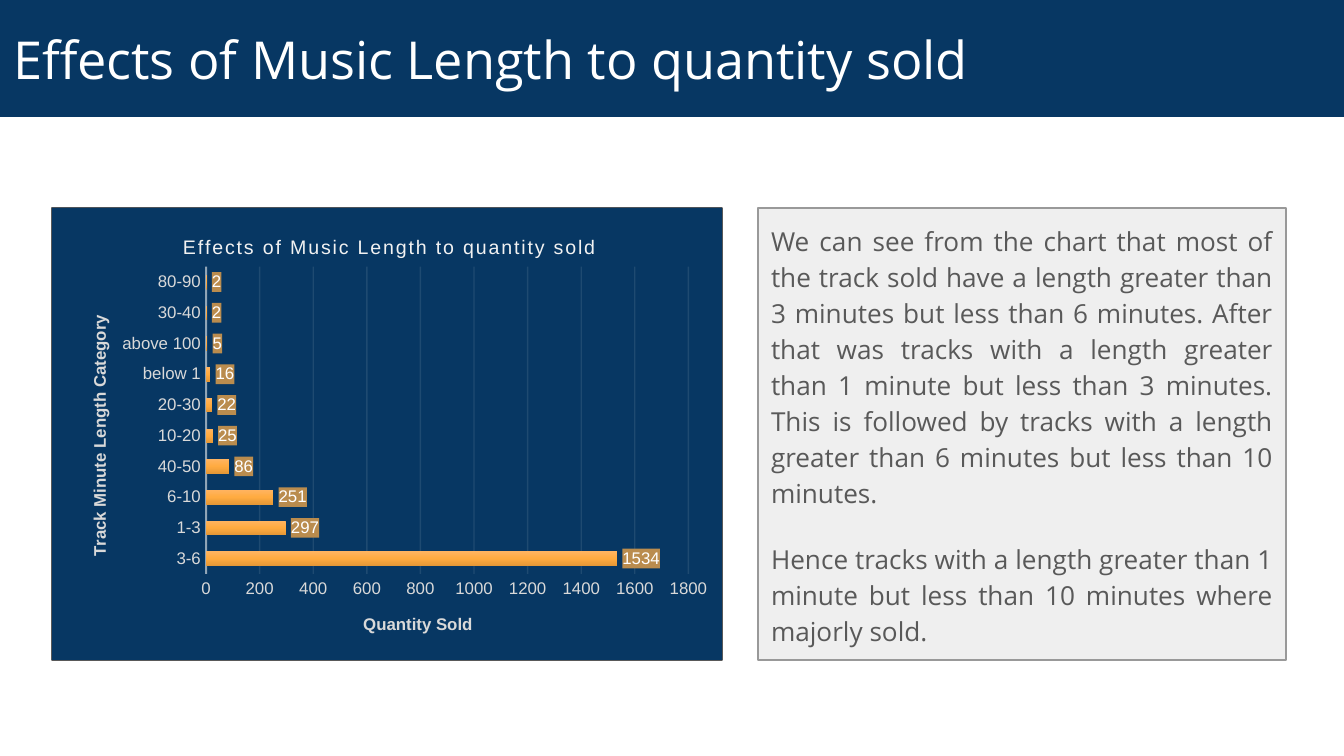
from dataclasses import dataclass

from lxml import etree
from pptx import Presentation
from pptx.chart.data import CategoryChartData
from pptx.dml.color import RGBColor
from pptx.enum.chart import XL_CHART_TYPE as ChartType
from pptx.enum.chart import XL_LABEL_POSITION as LabelPosition
from pptx.enum.chart import XL_TICK_MARK as TickMark
from pptx.enum.shapes import MSO_SHAPE as Preset
from pptx.enum.text import MSO_ANCHOR as Anchor
from pptx.enum.text import MSO_AUTO_SIZE as AutoSize
from pptx.enum.text import PP_ALIGN as Align
from pptx.oxml import parse_xml
from pptx.oxml.ns import nsdecls, qn
from pptx.util import Emu, Pt


@dataclass(frozen=True)
class Theme:
    text_font: str = "Open Sans"
    chart_font: str = "Arial"
    navy: str = "073763"
    white: str = "FFFFFF"
    body: str = "595959"
    note_fill: str = "EFEFEF"
    note_line: str = "999999"
    panel_fill: str = "EEEEEE"
    light: str = "F2F2F2"
    axis: str = "D9D9D9"
    label_fill: str = "BA8C4E"
    bar_stops: tuple = ((0, "FFB461"), (50, "FFAB40"), (100, "E59837"))
    title_size: float = 28
    body_size: float = 14
    chart_title_size: float = 10.5
    axis_size: float = 9


THEME = Theme()
SLIDE_WIDTH, SLIDE_HEIGHT = 1344, 756
HEADING = "Effects of Music Length to quantity sold"
QUANTITY_SOLD = {
    "3-6": 1534, "1-3": 297, "6-10": 251, "40-50": 86, "10-20": 25,
    "20-30": 22, "below 1": 16, "above 100": 5, "30-40": 2, "80-90": 2,
}
FINDINGS = (
    "We can see from the chart that most of the track sold have a length greater "
    "than 3 minutes but less than 6 minutes. After that was tracks with a length "
    "greater than 1 minute but less than 3 minutes. This is followed by tracks "
    "with a length greater than 6 minutes but less than 10 minutes.",
    "Hence tracks with a length greater than 1 minute but less than 10 minutes "
    "where majorly sold.",
)


def px(length):
    return Emu(round(length * 914400 / 134.4))


def rgb(color):
    return RGBColor.from_string(color)


def style_font(font, name, size, color, bold=False):
    font.name, font.size, font.bold = name, Pt(size), bold
    font.color.rgb = rgb(color)


def style_box(shape, fill, line=None):
    shape.fill.solid()
    shape.fill.fore_color.rgb = rgb(fill)
    if line:
        shape.line.color.rgb = rgb(line)
        shape.line.width = Pt(0.75)
    else:
        shape.line.fill.background()


def set_insets(frame):
    frame.margin_left = frame.margin_right = px(13)
    frame.margin_top = frame.margin_bottom = px(13)
    frame.word_wrap = True
    frame.auto_size = AutoSize.NONE


def add_box(slide, box, fill, line):
    shape = slide.shapes.add_shape(Preset.RECTANGLE, *map(px, box))
    shape.shadow.inherit = False
    style_box(shape, fill, line)
    return shape


def add_heading(slide, box):
    heading = slide.shapes.title
    heading.left, heading.top, heading.width, heading.height = map(px, box)
    style_box(heading, THEME.navy)
    frame = heading.text_frame
    set_insets(frame)
    frame.vertical_anchor = Anchor.MIDDLE
    paragraph = frame.paragraphs[0]
    paragraph.alignment = Align.LEFT
    run = paragraph.add_run()
    run.text = HEADING
    style_font(run.font, THEME.text_font, THEME.title_size, THEME.white)


def add_findings(slide, box):
    frame = add_box(slide, box, THEME.note_fill, THEME.note_line).text_frame
    set_insets(frame)
    frame.vertical_anchor = Anchor.TOP
    for index, finding in enumerate(FINDINGS):
        paragraph = frame.add_paragraph() if index else frame.paragraphs[0]
        paragraph.alignment = Align.JUSTIFY
        paragraph.line_spacing = 1.15
        paragraph.space_after = Pt(16)
        run = paragraph.add_run()
        run.text = finding
        style_font(run.font, THEME.text_font, THEME.body_size, THEME.body)


def place(element, index, **fractions):
    """Give a chart part a manual layout, in fractions of the chart's size."""
    layout = element.find(qn("c:layout"))
    if layout is None:
        layout = etree.Element(qn("c:layout"))
        element.insert(index, layout)
    manual = etree.SubElement(layout, qn("c:manualLayout"))
    if "w" in fractions:
        etree.SubElement(manual, qn("c:layoutTarget"), val="inner")
    for side in ("x", "y"):
        etree.SubElement(manual, qn(f"c:{side}Mode"), val="edge")
    for side, fraction in fractions.items():
        etree.SubElement(manual, qn(f"c:{side}"), val=str(fraction))


def chart_fill(color):
    return parse_xml(
        f'<c:spPr {nsdecls("c", "a")}><a:solidFill><a:srgbClr val="{color}"/>'
        "</a:solidFill><a:ln><a:noFill/></a:ln></c:spPr>"
    )


def add_title(owner, wording, size, color, bold, x, y):
    title = owner.chart_title if hasattr(owner, "chart_title") else owner.axis_title
    run = title.text_frame.paragraphs[0].add_run()
    run.text = wording
    style_font(run.font, THEME.chart_font, size, color, bold)
    place(title._element, 1, x=x, y=y)
    return run


def style_line(line, width, opacity):
    line.color.rgb = rgb(THEME.light)
    line.width = Pt(width)
    color = next(line._get_or_add_ln().iter(qn("a:srgbClr")))
    etree.SubElement(color, qn("a:alpha"), val=str(opacity * 1000))


def style_bars(plot):
    plot.gap_width, plot.overlap, plot.vary_by_categories = 115, -20, False
    stops = "".join(
        f'<a:gs pos="{at * 1000}"><a:srgbClr val="{color}"/></a:gs>'
        for at, color in THEME.bar_stops
    )
    bar_properties = plot.series[0].format.fill._xPr
    bar_properties.insert(0, parse_xml(
        f'<a:gradFill {nsdecls("a")}><a:gsLst>{stops}</a:gsLst>'
        '<a:lin ang="5400000" scaled="0"/></a:gradFill>'
    ))
    plot.has_data_labels = True
    labels = plot.data_labels
    labels.show_value = True
    labels.position = LabelPosition.OUTSIDE_END
    style_font(labels.font, THEME.chart_font, THEME.axis_size, THEME.white)
    labels._element.find(qn("c:txPr")).addprevious(chart_fill(THEME.label_fill))


def add_quantity_chart(slide, box):
    add_box(slide, box, THEME.panel_fill, THEME.body)
    data = CategoryChartData()
    data.categories = list(QUANTITY_SOLD)
    data.add_series("Series 1", list(QUANTITY_SOLD.values()))
    chart = slide.shapes.add_chart(ChartType.BAR_CLUSTERED, *map(px, box), data).chart
    chart.has_legend = False
    style_font(chart.font, THEME.chart_font, THEME.axis_size, THEME.axis)
    chart._chartSpace.find(qn("c:txPr")).addprevious(chart_fill(THEME.navy))
    style_bars(chart.plots[0])

    lengths, quantities = chart.category_axis, chart.value_axis
    for axis in (lengths, quantities):
        axis.major_tick_mark = axis.minor_tick_mark = TickMark.NONE
        style_font(axis.tick_labels.font, THEME.chart_font, THEME.axis_size, THEME.axis)
    style_line(lengths.format.line, 1, 54)
    quantities.format.line.fill.background()
    quantities.minimum_scale, quantities.maximum_scale = 0, 1800
    quantities.major_unit = 200
    style_line(quantities.major_gridlines.format.line, 0.75, 10)

    heading = add_title(chart, HEADING, THEME.chart_title_size, THEME.light, False, 0.19, 0.05)
    heading.font._element.set("spc", "100")
    add_title(lengths, "Track Minute Length Category", THEME.axis_size, THEME.axis, True, 0.05, 0.23)
    add_title(quantities, "Quantity Sold", THEME.axis_size, THEME.axis, True, 0.46, 0.89)
    place(chart._chartSpace.chart.plotArea, 0, x=0.23, y=0.13, w=0.72, h=0.68)


def main():
    deck = Presentation()
    deck.slide_width, deck.slide_height = px(SLIDE_WIDTH), px(SLIDE_HEIGHT)
    slide = deck.slides.add_slide(deck.slide_layouts[5])
    add_heading(slide, (0, 0, SLIDE_WIDTH, 117))
    add_findings(slide, (758, 208, 528, 452))
    add_quantity_chart(slide, (52, 208, 670, 452))
    deck.save("out.pptx")


if __name__ == "__main__":
    main()
